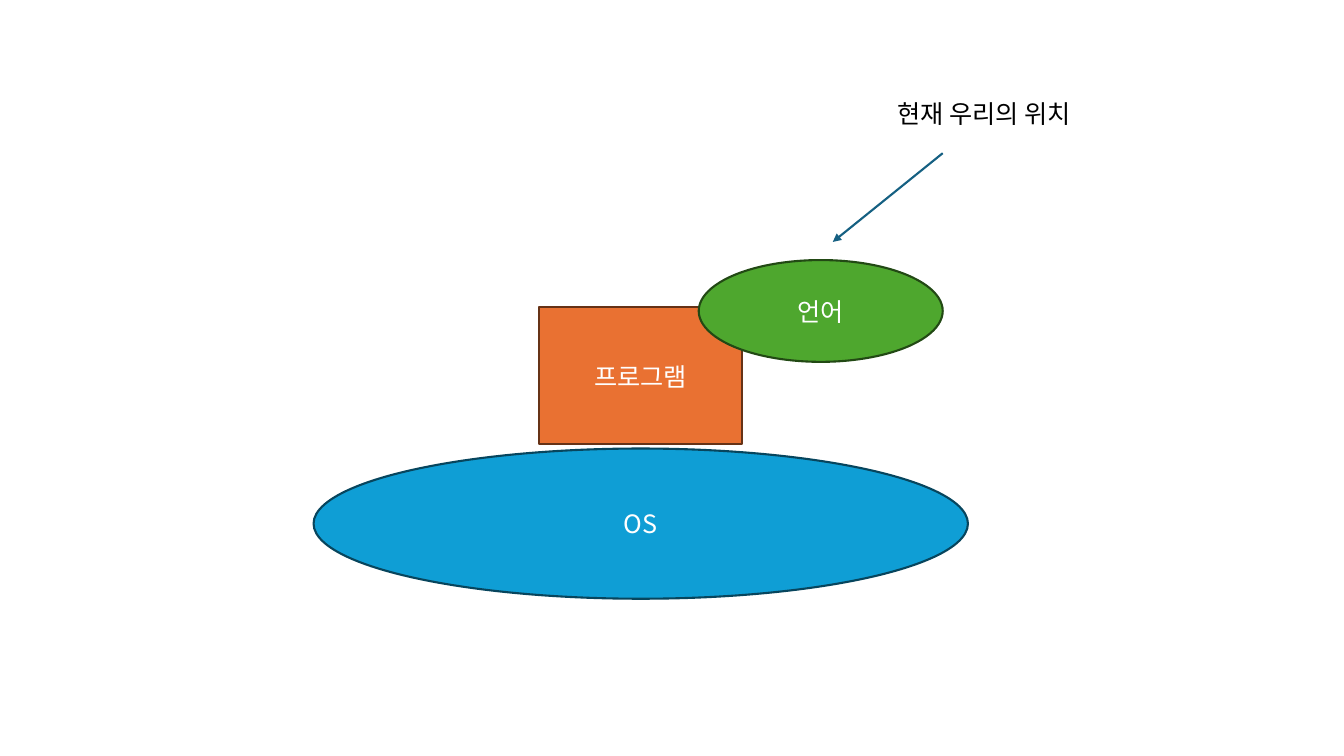
from lxml import etree
from pptx import Presentation
from pptx.dml.color import RGBColor
from pptx.enum.shapes import MSO_CONNECTOR, MSO_SHAPE
from pptx.enum.text import MSO_ANCHOR, MSO_AUTO_SIZE, PP_ALIGN
from pptx.oxml.ns import qn
from pptx.util import Inches, Pt

RECTANGLE, OVAL = MSO_SHAPE.RECTANGLE, MSO_SHAPE.OVAL
STRAIGHT = MSO_CONNECTOR.STRAIGHT
MIDDLE, TOP = MSO_ANCHOR.MIDDLE, MSO_ANCHOR.TOP
CENTER, LEFT = PP_ALIGN.CENTER, PP_ALIGN.LEFT
NO_FIT, GROW = MSO_AUTO_SIZE.NONE, MSO_AUTO_SIZE.SHAPE_TO_FIT_TEXT

COLORS = {
    "orange": "E97132", "brown": "663216",
    "blue": "0F9ED5", "navy": "07455D",
    "green": "4EA72E", "forest": "224914",
    "arrow": "156082", "white": "FFFFFF", "black": "000000",
}
FONT = {"name": "Noto Sans CJK KR", "size": Pt(18)}
LINE_WIDTH = Pt(1.5)
LAYER_FRAME = {"word_wrap": True, "vertical_anchor": MIDDLE, "auto_size": NO_FIT}
LABEL_FRAME = {"word_wrap": True, "vertical_anchor": TOP, "auto_size": GROW}

LAYERS = [
    ("프로그램", RECTANGLE, (5.35, 3.05, 2.01, 1.36), "orange", "brown"),
    ("OS", OVAL, (3.11, 4.45, 6.49, 1.49), "blue", "navy"),
    ("언어", OVAL, (6.93, 2.58, 2.42, 1.01), "green", "forest"),
]
POSITION_LABEL = ("현재 우리의 위치", (8.8, 0.93, 2.82, 0.4))
POSITION_ARROW = (9.35, 1.52, 8.26, 2.4)


def color(name):
    return RGBColor.from_string(COLORS[name])


def inches(values):
    return [Inches(value) for value in values]


def apply(target, values):
    for attribute, value in values.items():
        setattr(target, attribute, value)


def write(holder, wording, ink, alignment, frame_format):
    frame = holder.text_frame
    apply(frame, frame_format)
    paragraph = frame.paragraphs[0]
    paragraph.alignment = alignment
    run = paragraph.add_run()
    run.text = wording
    apply(run.font, FONT)
    run.font.color.rgb = color(ink)
    east_asian = etree.SubElement(run.font._element, qn("a:ea"))
    east_asian.set("typeface", FONT["name"])


def outline(line, ink):
    line.color.rgb = color(ink)
    line.width = LINE_WIDTH


def add_layer(slide, wording, preset, box, fill, edge):
    layer = slide.shapes.add_shape(preset, *inches(box))
    layer.shadow.inherit = False
    layer.fill.solid()
    layer.fill.fore_color.rgb = color(fill)
    outline(layer.line, edge)
    write(layer, wording, "white", CENTER, LAYER_FRAME)


def add_arrow(slide, ends):
    arrow = slide.shapes.add_connector(STRAIGHT, *inches(ends))
    outline(arrow.line, "arrow")
    properties = arrow._element.spPr
    head = etree.SubElement(properties.find(qn("a:ln")), qn("a:tailEnd"))
    head.set("type", "triangle")
    etree.SubElement(properties, qn("a:effectLst"))


def main():
    """Build the slide that places language, program and OS."""
    deck = Presentation()
    deck.slide_width, deck.slide_height = inches((13.33, 7.5))
    slide = deck.slides.add_slide(deck.slide_layouts[6])
    for layer in LAYERS:
        add_layer(slide, *layer)
    add_arrow(slide, POSITION_ARROW)
    wording, box = POSITION_LABEL
    label = slide.shapes.add_textbox(*inches(box))
    write(label, wording, "black", LEFT, LABEL_FRAME)
    deck.save("out.pptx")


if __name__ == "__main__":
    main()
